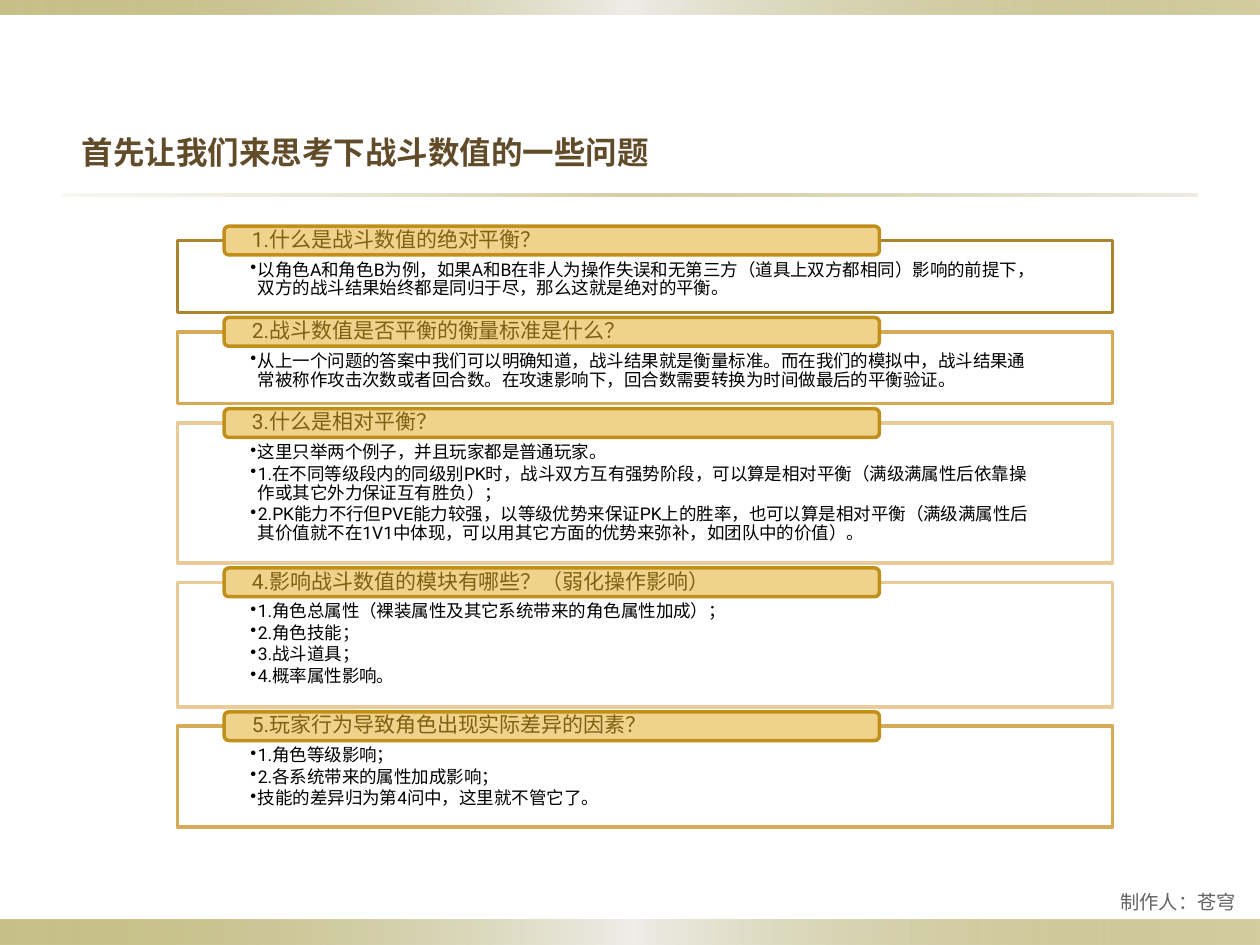
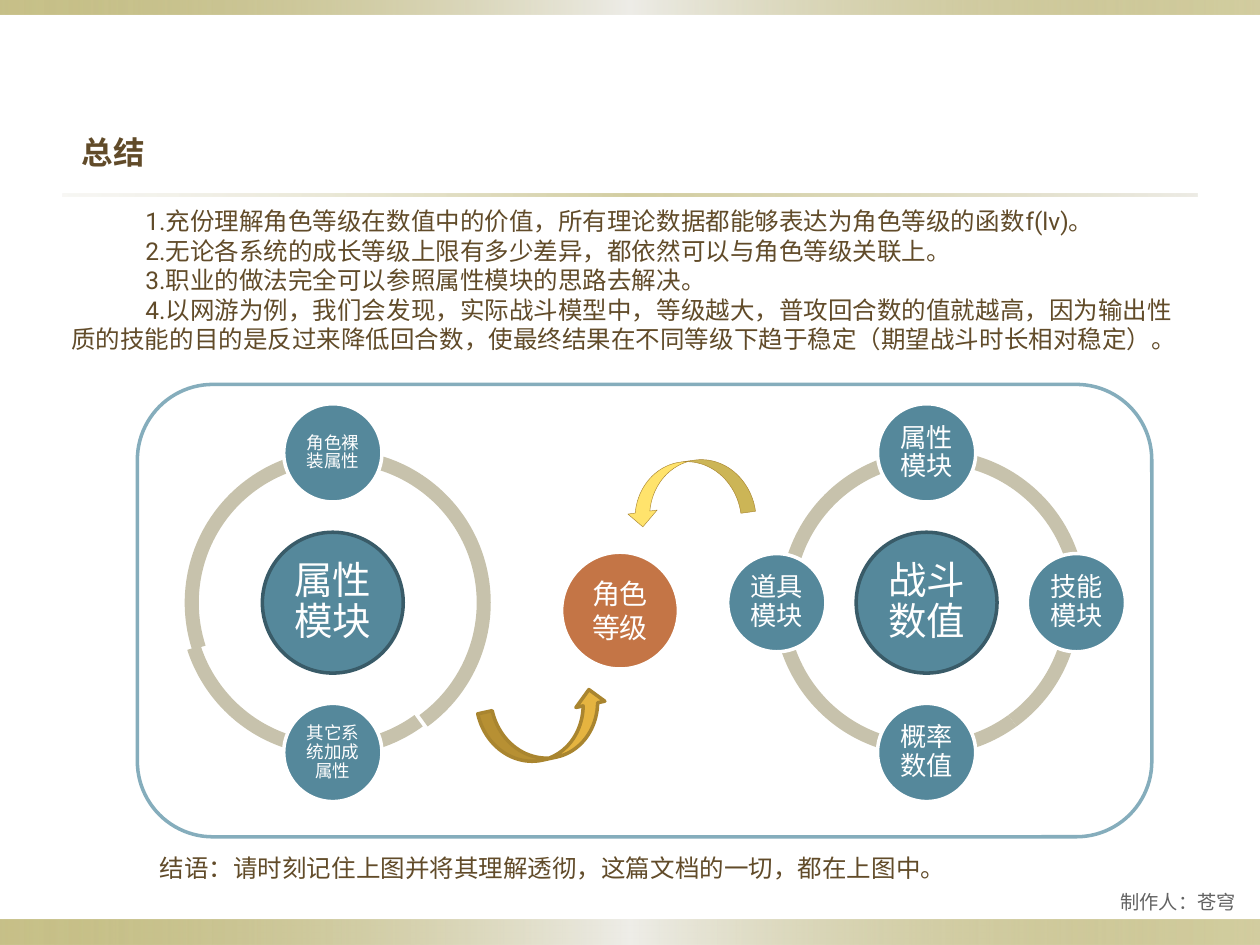
import math

import pptx
import pptx.util
import pptx.dml.color
import pptx.enum.lang
import pptx.enum.shapes
import pptx.enum.text
import pptx.oxml.ns
from lxml import etree

Cm, Pt = pptx.util.Cm, pptx.util.Pt
SHAPE = pptx.enum.shapes.MSO_SHAPE
ALIGN = pptx.enum.text.PP_ALIGN
ANCHOR = pptx.enum.text.MSO_ANCHOR
CHINESE = pptx.enum.lang.MSO_LANGUAGE_ID.SIMPLIFIED_CHINESE
qn = pptx.oxml.ns.qn

FONT = "Roboto"
WIDTH, HEIGHT = 25.4, 19.05
COLORS = {
    "white": "FFFFFF", "black": "000000", "brown": "614B29", "grey": "636363",
    "olive": "918415", "silver": "EEEDE8", "sand": "DCD9CC",
    "banner": "EFD28C", "banner_edge": "C1901A", "banner_text": "816012",
    "bronze": "A9852F", "gold": "D5AB58", "pale_gold": "E9CB9A",
    "panel_edge": "85ADBC", "ring": "C7C2AC", "teal": "55889B", "dark_teal": "395B68",
    "amber": "E5B440", "yellow": "FFE36C", "rust": "C47546",
}
BAND_STOPS = [(0, "olive", 50), (50, "silver", 100), (100, "olive", 40)]
RULE_STOPS = [(0, "sand", 20), (50, "olive", 40), (100, "sand", 50)]


def rgb(name):
    return pptx.dml.color.RGBColor.from_string(COLORS[name])


def set_alpha(color, percent):
    etree.SubElement(color, qn("a:alpha"), val=str(percent * 1000))


def write(frame, text, size=14, color="brown", bold=False, align=None,
          anchor=ANCHOR.TOP, insets=(0.25, 0.13, 0.25, 0.13), spacing=None,
          after=None, indent=None, bullet=False):
    """Fill a text frame, one paragraph for each line of text."""
    frame.word_wrap = True
    frame.vertical_anchor = anchor
    (frame.margin_left, frame.margin_top,
     frame.margin_right, frame.margin_bottom) = map(Cm, insets)
    for number, line in enumerate(text.split("\n")):
        paragraph = frame.add_paragraph() if number else frame.paragraphs[0]
        paragraph.alignment = align or ALIGN.LEFT
        if spacing:
            paragraph.line_spacing = spacing
        if after:
            paragraph.space_after = Pt(after)
        properties = paragraph._p.get_or_add_pPr()
        if indent:
            properties.set("marL", str(Cm(max(-indent, 0))))
            properties.set("indent", str(Cm(indent)))
        if bullet:
            etree.SubElement(properties, qn("a:buChar"), char="•")
        run = paragraph.add_run()
        run.text = line
        font = run.font
        font.name, font.size, font.bold = FONT, Pt(size), bold
        font.language_id = CHINESE
        font.color.rgb = rgb(color)
        latin = run._r.rPr.find(qn("a:latin"))
        latin.addnext(latin.makeelement(qn("a:ea"), typeface=FONT))


class Deck:
    """Holds the shared style and the slide being built."""

    def __init__(self):
        self.file = pptx.Presentation()
        self.file.slide_width, self.file.slide_height = Cm(WIDTH), Cm(HEIGHT)
        self.slide = None

    def new_slide(self, title):
        self.slide = self.file.slides.add_slide(self.file.slide_layouts[6])
        self.gradient_bar(0, 18.54, WIDTH, 0.51, BAND_STOPS)
        self.gradient_bar(0, 0, WIDTH, 0.3, BAND_STOPS)
        self.gradient_bar(1.27, 3.91, 22.86, 0.05, RULE_STOPS)
        self.label(1.4, 1.98, 16.87, 2.18, title, size=18, bold=True,
                   anchor=ANCHOR.MIDDLE)
        self.label(14.81, 17.78, 10.36, 0.79, "制作人：苍穹", size=11, color="grey",
                   align=ALIGN.RIGHT, anchor=ANCHOR.MIDDLE)

    def shape(self, kind, x, y, w, h, fill, edge=None, weight=2, alpha=None):
        shape = self.slide.shapes.add_shape(kind, Cm(x), Cm(y), Cm(w), Cm(h))
        shape.shadow.inherit = False
        shape.fill.solid()
        shape.fill.fore_color.rgb = rgb(fill)
        if alpha:
            set_alpha(shape._element.spPr.find(qn("a:solidFill"))[0], alpha)
        if edge:
            shape.line.color.rgb = rgb(edge)
            shape.line.width = Pt(weight)
        else:
            shape.line.fill.background()
        return shape

    def gradient_bar(self, x, y, w, h, stops):
        bar = self.shape(SHAPE.RECTANGLE, x, y, w, h, "white")
        bar.fill.gradient()
        gradient = bar._element.spPr.find(qn("a:gradFill"))
        gradient.find(qn("a:lin")).set("ang", "0")
        stop_list = gradient.find(qn("a:gsLst"))
        for old_stop in list(stop_list):
            stop_list.remove(old_stop)
        for position, color, alpha in stops:
            stop = etree.SubElement(stop_list, qn("a:gs"), pos=str(position * 1000))
            set_alpha(etree.SubElement(stop, qn("a:srgbClr"), val=COLORS[color]), alpha)

    def label(self, x, y, w, h, text, **style):
        box = self.slide.shapes.add_textbox(Cm(x), Cm(y), Cm(w), Cm(h))
        write(box.text_frame, text, **style)

    def question(self, y, height, edge, heading, answer):
        frame = self.shape(SHAPE.RECTANGLE, 3.58, y, 18.85, height, "white", edge, alpha=90)
        write(frame.text_frame, answer, size=10, color="black", spacing=0.9, after=1.5,
              indent=-0.15, bullet=True, insets=(1.47, 0.41, 1.47, 0.2))
        banner = self.shape(SHAPE.ROUNDED_RECTANGLE, 4.52, y - 0.29, 13.21, 0.58,
                            "banner", "banner_edge")
        write(banner.text_frame, heading, size=12, color="banner_text", spacing=0.9,
              anchor=ANCHOR.MIDDLE, insets=(0.53, 0, 0.53, 0))

    def circle(self, x, y, diameter, text, size, fill="teal", edge="white", weight=2,
               **style):
        disc = self.shape(SHAPE.OVAL, x - diameter / 2, y - diameter / 2,
                          diameter, diameter, fill, edge, weight)
        write(disc.text_frame, text, size=size, color="white", align=ALIGN.CENTER,
              anchor=ANCHOR.MIDDLE, **style)

    def orbit(self, x, y, core, arcs, nodes, node_size):
        """Ring of arcs (start, end, shift) round a core, with nodes {angle: text}."""
        ring, radius = 6.17, 3.02
        for start, end, shift in arcs:
            arc = self.shape(SHAPE.BLOCK_ARC, x + shift - ring / 2, y - ring / 2,
                             ring, ring, "ring")
            # Adjustments count in 100000ths, angles in 60000ths of a degree
            arc.adjustments[0] = start * 0.6
            arc.adjustments[1] = end * 0.6
            arc.adjustments[2] = 0.046
        tight = dict(spacing=0.9, insets=(0.04,) * 4)
        self.circle(x, y, 2.84, core, 22, edge="dark_teal", **tight)
        for angle, text in nodes.items():
            turn = math.radians(angle)
            self.circle(x + radius * math.cos(turn), y + radius * math.sin(turn),
                        1.98, text, node_size, **tight)

    def curved_arrow(self, x, y, rotation, fill, edge, weight):
        arrow = self.shape(SHAPE.CURVED_UP_ARROW, x, y, 2.59, 1.19, fill, edge, weight)
        arrow.rotation = rotation


QUESTIONS = [
    (1.45, "bronze", "1.什么是战斗数值的绝对平衡？",
     "以角色A和角色B为例，如果A和B在非人为操作失误和无第三方（道具上双方都相同）影响的前提下，"
     "双方的战斗结果始终都是同归于尽，那么这就是绝对的平衡。"),
    (1.45, "gold", "2.战斗数值是否平衡的衡量标准是什么？",
     "从上一个问题的答案中我们可以明确知道，战斗结果就是衡量标准。而在我们的模拟中，"
     "战斗结果通常被称作攻击次数或者回合数。在攻速影响下，回合数需要转换为时间做最后的平衡验证。"),
    (2.82, "pale_gold", "3.什么是相对平衡？",
     "这里只举两个例子，并且玩家都是普通玩家。\n"
     "1.在不同等级段内的同级别PK时，战斗双方互有强势阶段，可以算是相对平衡"
     "（满级满属性后依靠操作或其它外力保证互有胜负）；\n"
     "2.PK能力不行但PVE能力较强，以等级优势来保证PK上的胜率，也可以算是相对平衡"
     "（满级满属性后其价值就不在1V1中体现，可以用其它方面的优势来弥补，如团队中的价值）。"),
    (2.51, "pale_gold", "4.影响战斗数值的模块有哪些？（弱化操作影响）",
     "1.角色总属性（裸装属性及其它系统带来的角色属性加成）；\n"
     "2.角色技能；\n3.战斗道具；\n4.概率属性影响。"),
    (2.03, "gold", "5.玩家行为导致角色出现实际差异的因素？",
     "1.角色等级影响；\n2.各系统带来的属性加成影响；\n"
     "技能的差异归为第4问中，这里就不管它了。"),
]

CONCLUSIONS = (
    "1.充份理解角色等级在数值中的价值，所有理论数据都能够表达为角色等级的函数f(lv)。\n"
    "2.无论各系统的成长等级上限有多少差异，都依然可以与角色等级关联上。\n"
    "3.职业的做法完全可以参照属性模块的思路去解决。\n"
    "4.以网游为例，我们会发现，实际战斗模型中，等级越大，普攻回合数的值就越高，"
    "因为输出性质的技能的目的是反过来降低回合数，"
    "使最终结果在不同等级下趋于稳定（期望战斗时长相对稳定）。"
)


def build_questions(deck):
    deck.new_slide("首先让我们来思考下战斗数值的一些问题")
    y, gap = 4.85, 0.39
    for height, edge, heading, answer in QUESTIONS:
        deck.question(y, height, edge, heading, answer)
        y += height + gap


def build_summary(deck):
    deck.new_slide("总结")
    deck.label(1.19, 3.96, 23.01, 3.4, CONCLUSIONS, indent=1.49,
               insets=(0.25, 0.2, 0.25, 0.2))

    # Panel with the two module rings
    deck.shape(SHAPE.ROUNDED_RECTANGLE, 2.77, 7.75, 20.45, 9.12, "white", "panel_edge",
               alpha=28)
    middle = 12.15
    deck.orbit(6.71, middle, "属性模块", [(54, 162, 0), (162, 54, 0.1)],
               {-90: "角色裸装属性", 90: "其它系统加成属性"}, 10)
    deck.orbit(18.68, middle, "战斗数值",
               [(108, 162, 0), (54, 108, 0), (0, 54, 0), (162, 0, 0.13)],
               {-90: "属性模块", 0: "技能模块", 90: "概率数值", 180: "道具模块"}, 15)

    # Both rings lead to the character level
    deck.curved_arrow(9.73, 14.1, 347.7, "amber", "bronze", 2)
    deck.curved_arrow(12.57, 9.3, 172.1, "yellow", "bronze", 0.25)
    deck.circle(12.5, 12.31, 2.39, "角色等级", 16, fill="rust", weight=3)

    deck.label(2.97, 17.07, 19.46, 0.86,
               "结语：请时刻记住上图并将其理解透彻，这篇文档的一切，都在上图中。")


def main():
    deck = Deck()
    build_questions(deck)
    build_summary(deck)
    deck.file.save("out.pptx")


if __name__ == "__main__":
    main()
